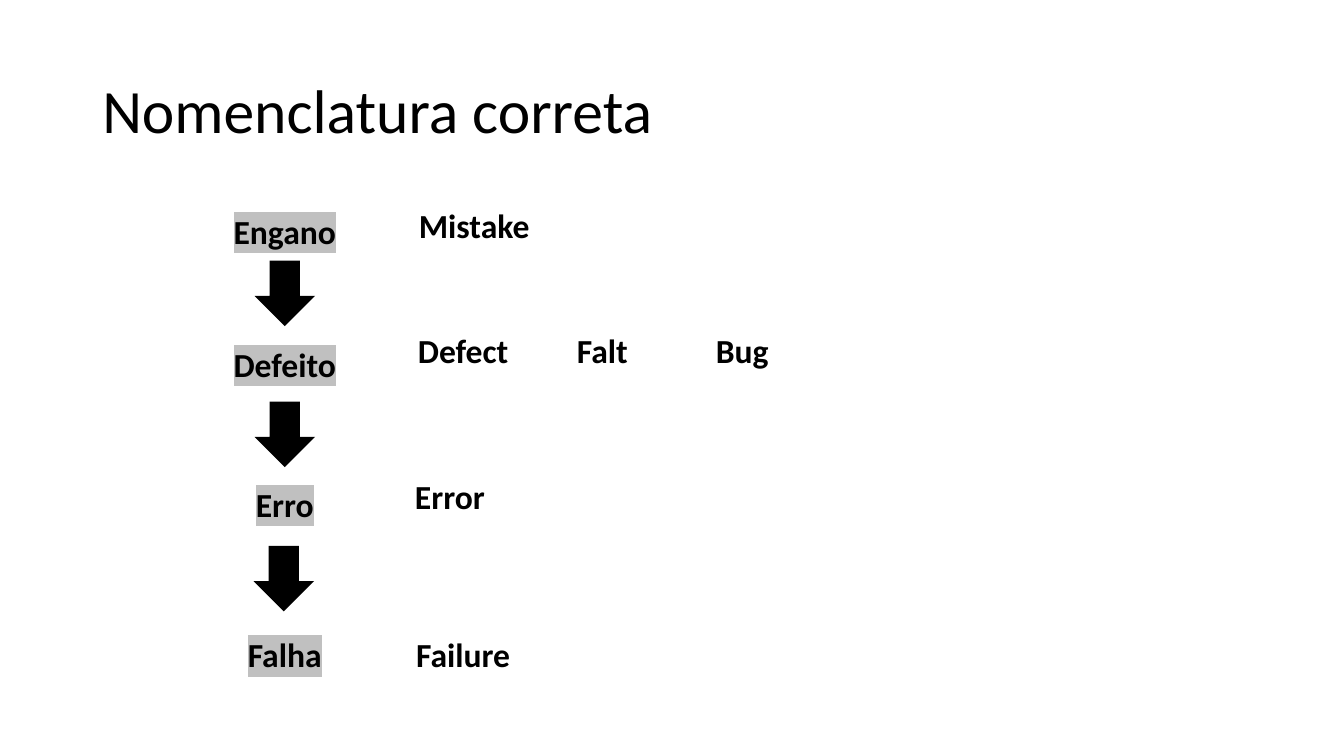
from lxml.etree import SubElement
from pptx import Presentation
from pptx.dml.color import RGBColor
from pptx.enum.shapes import MSO_SHAPE
from pptx.enum.text import MSO_ANCHOR, PP_ALIGN
from pptx.oxml.ns import qn
from pptx.util import Pt

BLACK = RGBColor(0x00, 0x00, 0x00)
SILVER = RGBColor(0xC0, 0xC0, 0xC0)
FONT = "Calibri"
TERM_LEFT, WORD_WIDTH, WORD_HEIGHT = 135.4, 136, 36

# Portuguese term, its top, top of the English words, English words with their left edges
LEVELS = [
    ("Engano", 146.9, 142.6, [("Mistake", 270.7)]),
    ("Defeito", 241.9, 231.8, [("Defect", 262.8), ("Falt", 362.2), ("Bug", 462.2)]),
    ("Erro", 342, 336.2, [("Error", 253.4)]),
    ("Falha", 449.3, 449.3, [("Failure", 262.8)]),
]
ARROWS = [(180, 187.9), (180, 288.7), (179.3, 391.7)]


def add_text(page, text, left, top, width, height, size, bold=False):
    box = page.shapes.add_textbox(Pt(left), Pt(top), Pt(width), Pt(height))
    frame = box.text_frame
    frame.word_wrap = True
    frame.text = text
    font = frame.paragraphs[0].runs[0].font
    font.name, font.size, font.bold = FONT, Pt(size), bold
    font.color.rgb = BLACK
    return frame


def add_title(page, text):
    frame = add_text(page, text, 66, 28.8, 828, 104.4, 44)
    frame.vertical_anchor = MSO_ANCHOR.MIDDLE
    frame.paragraphs[0].line_spacing = 0.9


def add_word(page, text, left, top):
    frame = add_text(page, text, left, top, WORD_WIDTH, WORD_HEIGHT, 24, bold=True)
    frame.paragraphs[0].alignment = PP_ALIGN.CENTER
    return frame


def highlight(frame, color):
    # The highlight element has to follow the fill of the run
    span = frame.paragraphs[0].runs[0]
    properties = span.font._element
    marker = SubElement(properties, qn("a:highlight"))
    SubElement(marker, qn("a:srgbClr")).set("val", str(color))
    properties.find(qn("a:solidFill")).addnext(marker)


def add_down_arrow(page, left, top):
    arrow = page.shapes.add_shape(
        MSO_SHAPE.RIGHT_ARROW, Pt(left), Pt(top), Pt(46.8), Pt(43.2))
    arrow.rotation = 90
    arrow.shadow.inherit = False
    arrow.fill.solid()
    arrow.fill.fore_color.rgb = BLACK
    arrow.line.fill.background()


def main():
    deck = Presentation()
    deck.slide_width, deck.slide_height = Pt(960), Pt(540)
    page = deck.slides.add_slide(deck.slide_layouts[6])

    add_title(page, "Nomenclatura correta")

    # Terms with their English equivalents
    for term, term_top, words_top, words in LEVELS:
        highlight(add_word(page, term, TERM_LEFT, term_top), SILVER)
        for word, left in words:
            add_word(page, word, left, words_top)

    # Arrows from each term to the next
    for left, top in ARROWS:
        add_down_arrow(page, left, top)

    deck.save("out.pptx")


if __name__ == "__main__":
    main()
